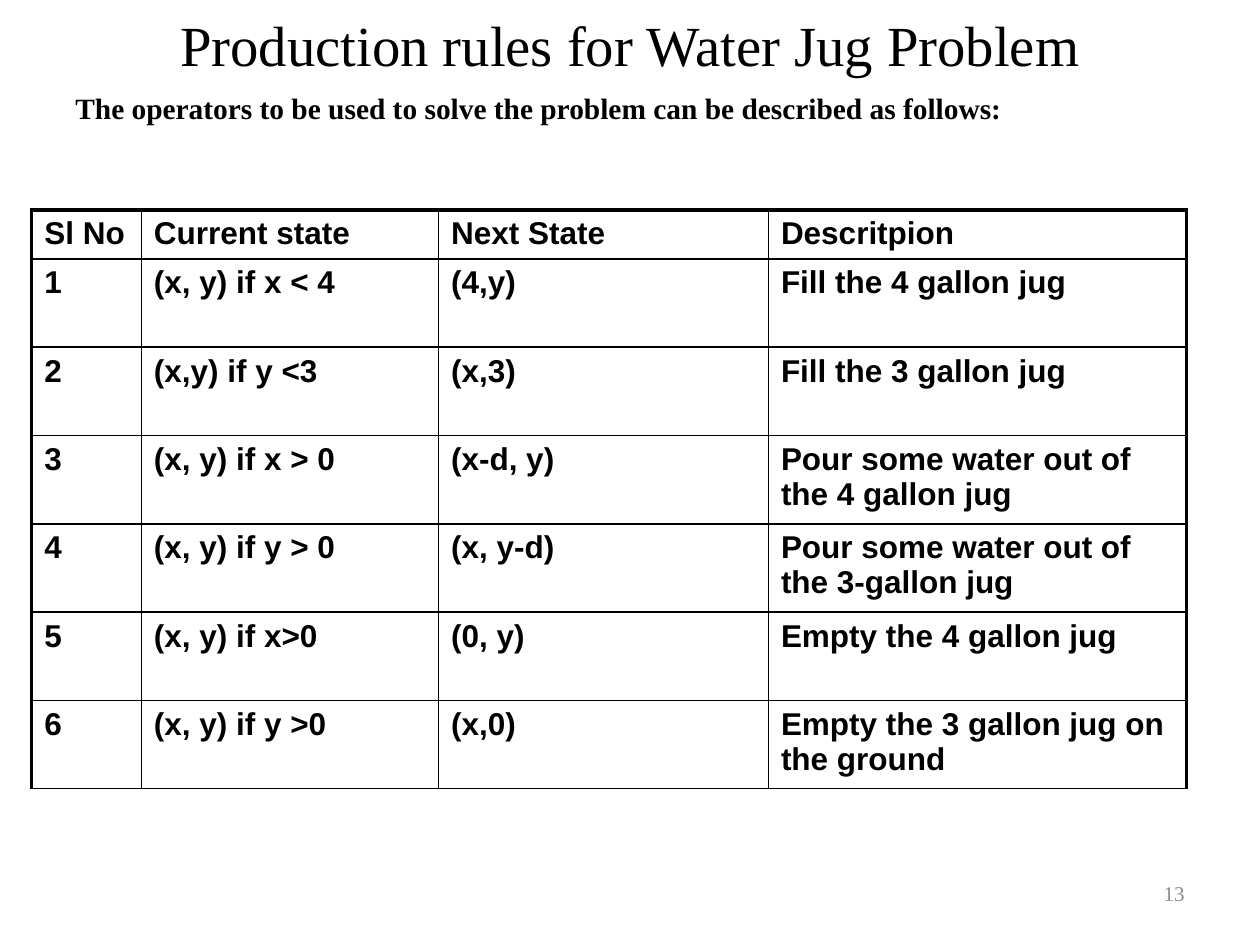
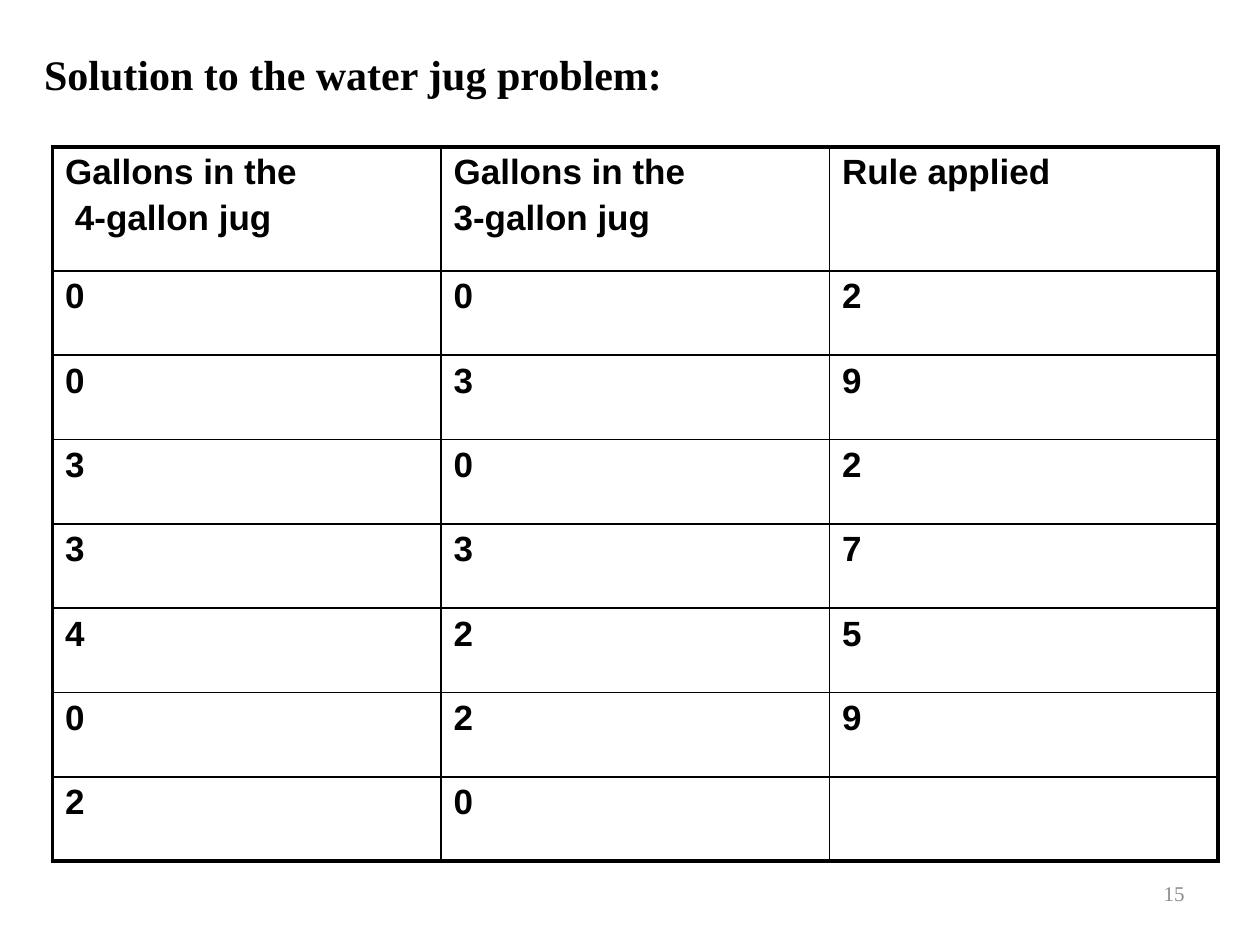
from dataclasses import dataclass

from lxml.etree import SubElement
from pptx import Presentation
from pptx.dml.color import RGBColor
from pptx.enum.text import MSO_ANCHOR, PP_ALIGN
from pptx.oxml.ns import qn
from pptx.slide import Slide
from pptx.table import _Cell
from pptx.text.text import TextFrame
from pptx.util import Cm, Pt

BLACK = "000000"
GREY = "8C8C8C"
SERIF = "Times New Roman"
SANS = "Arial"
THICK = 2.25
THIN = 1


@dataclass(frozen=True)
class Style:
    """How a piece of text looks."""

    size: float
    font: str = SERIF
    color: str = BLACK
    bold: bool = False
    align: PP_ALIGN = PP_ALIGN.LEFT
    anchor: MSO_ANCHOR = MSO_ANCHOR.TOP
    gap: float = 0


@dataclass(frozen=True)
class Label:
    """A text box, placed in centimetres."""

    text: str
    left: float
    top: float
    width: float
    height: float
    style: Style


@dataclass(frozen=True)
class Grid:
    """A ruled table, measured in centimetres."""

    left: float
    top: float
    columns: list[float]
    header_height: float
    row_height: float
    rows: list[tuple[str, ...]]
    style: Style
    closing_line: float


TITLE = Style(32.4, align=PP_ALIGN.CENTER, anchor=MSO_ANCHOR.MIDDLE)
INTRO = Style(16.8, bold=True, gap=0.2)
HEADING = Style(24, bold=True)
NUMBER = Style(12, color=GREY, align=PP_ALIGN.RIGHT, anchor=MSO_ANCHOR.MIDDLE)
RULE_TEXT = Style(18, SANS, bold=True, gap=0.2)
STEP_TEXT = Style(20, SANS, bold=True, gap=0.2)

RULES = Grid(
    0.64, 4.23, [2.21, 5.99, 6.65, 8.43], 0.99, 1.78,
    [
        ("Sl No", "Current state", "Next State", "Descritpion"),
        ("1", "(x, y) if x < 4", "(4,y)", "Fill the 4 gallon jug"),
        ("2", "(x,y) if y <3", "(x,3)", "Fill the 3 gallon jug"),
        ("3", "(x, y) if x > 0", "(x-d, y)", "Pour some water out of the 4 gallon jug"),
        ("4", "(x, y) if y > 0", "(x, y-d)", "Pour some water out of the 3-gallon jug"),
        ("5", "(x, y) if x>0", "(0, y)", "Empty the 4 gallon jug"),
        ("6", "(x, y) if y >0", "(x,0)", "Empty the 3 gallon jug on the ground"),
    ],
    RULE_TEXT, THIN,
)
STEPS = Grid(
    1.06, 2.96, [7.83] * 3, 2.5, 1.7,
    [
        ("Gallons in the\n 4-gallon jug", "Gallons in the\n3-gallon jug", "Rule applied"),
        ("0", "0", "2"),
        ("0", "3", "9"),
        ("3", "0", "2"),
        ("3", "3", "7"),
        ("4", "2", "5"),
        ("0", "2", "9"),
        ("2", "0", ""),
    ],
    STEP_TEXT, THICK,
)


def rgb(color: str) -> RGBColor:
    """Turn a hex string into a colour."""
    return RGBColor.from_string(color)


def write(frame: TextFrame, text: str, style: Style) -> None:
    """Fill a frame with one paragraph per line of text."""
    for index, line in enumerate(text.split("\n")):
        para = frame.add_paragraph() if index else frame.paragraphs[0]
        para.alignment = style.align
        para.space_before = Pt(style.size * style.gap)
        span = para.add_run()
        span.text = line
        span.font.size = Pt(style.size)
        span.font.name = style.font
        span.font.bold = style.bold
        span.font.color.rgb = rgb(style.color)


def draw_label(page: Slide, label: Label) -> None:
    """Draw a text box."""
    box = page.shapes.add_textbox(
        Cm(label.left), Cm(label.top), Cm(label.width), Cm(label.height)
    )
    frame = box.text_frame
    frame.word_wrap = True
    frame.vertical_anchor = label.style.anchor
    write(frame, label.text, label.style)


def draw_border(cell: _Cell, side: str, width: float) -> None:
    """Rule one side of a cell."""
    properties = cell._tc.get_or_add_tcPr()
    line = SubElement(properties, qn(f"a:ln{side}"), w=str(Pt(width)))
    fill = SubElement(line, qn("a:solidFill"))
    SubElement(fill, qn("a:srgbClr"), val=BLACK)


def draw_grid(page: Slide, grid: Grid) -> None:
    """Draw a table with a heavy frame and thin inner rules."""
    heights = [grid.header_height] + [grid.row_height] * (len(grid.rows) - 1)
    table = page.shapes.add_table(
        len(heights), len(grid.columns), Cm(grid.left), Cm(grid.top),
        Cm(sum(grid.columns)), Cm(sum(heights)),
    ).table
    table.first_row = False
    table.horz_banding = False
    for column, width in zip(table.columns, grid.columns):
        column.width = Cm(width)
    for row, height in zip(table.rows, heights):
        row.height = Cm(height)
    last_row, last_column = len(heights) - 1, len(grid.columns) - 1
    for y, texts in enumerate(grid.rows):
        for x, text in enumerate(texts):
            cell = table.cell(y, x)
            draw_border(cell, "L", THICK if x == 0 else THIN)
            draw_border(cell, "R", THICK if x == last_column else THIN)
            draw_border(cell, "T", THICK if y == 0 else THIN)
            draw_border(cell, "B", grid.closing_line if y == last_row else THIN)
            cell.fill.background()
            if text:
                write(cell.text_frame, text, grid.style)


def add_page(deck: Presentation, number: int, grid: Grid, labels: list[Label]) -> None:
    """Add a slide with its table, texts and page number."""
    page = deck.slides.add_slide(deck.slide_layouts[6])
    draw_grid(page, grid)
    for label in labels + [Label(str(number), 18.2, 17.35, 5.93, 1.32, NUMBER)]:
        draw_label(page, label)


def main() -> None:
    """Build the deck."""
    deck = Presentation()
    deck.slide_width = Cm(25.4)
    deck.slide_height = Cm(19.05)
    add_page(deck, 13, RULES, [
        Label("Production rules for Water Jug Problem", 1.27, 0, 22.86, 1.78, TITLE),
        Label(
            "The operators to be used to solve the problem can be described as follows:",
            1.27, 1.7, 20.75, 1.47, INTRO,
        ),
    ])
    add_page(deck, 15, STEPS, [
        Label("Solution to the water jug problem:", 0.64, 0.85, 13.13, 1.27, HEADING),
    ])
    deck.save("out.pptx")


main()
